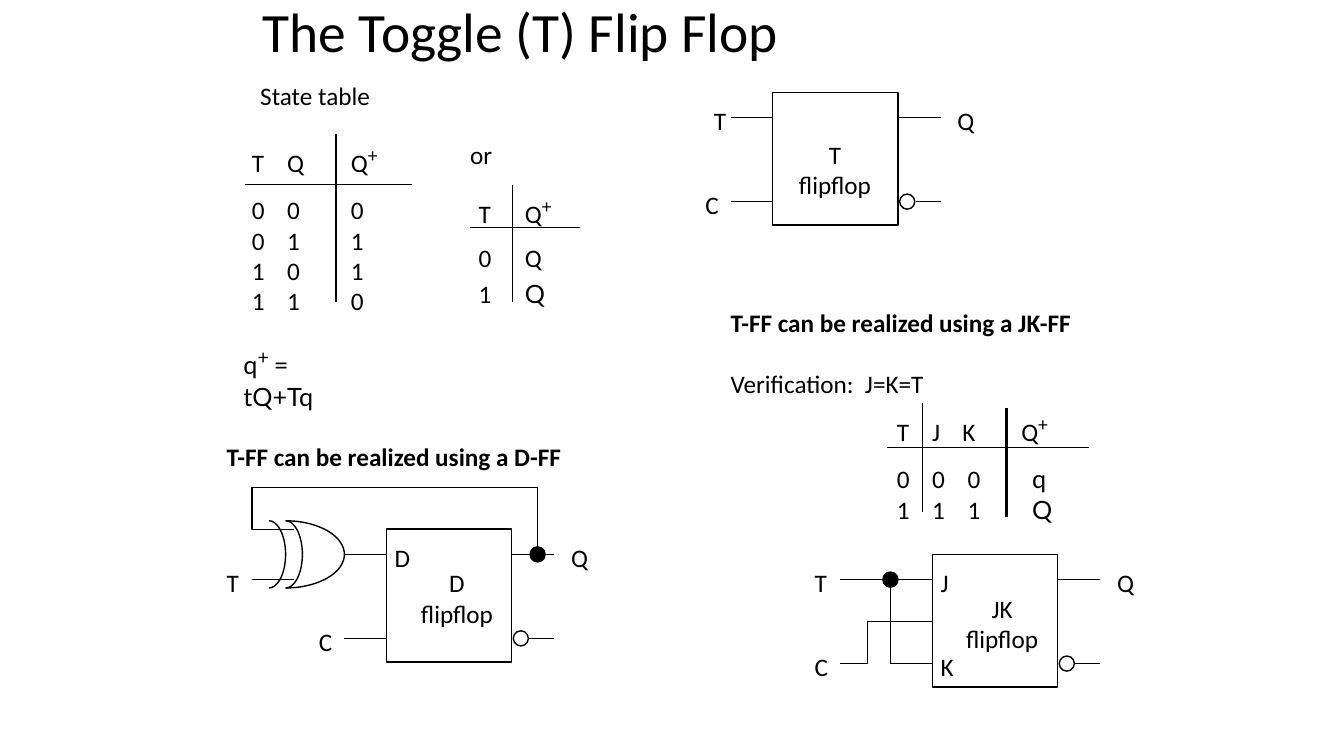
"""Build the slide that explains the toggle flip flop and two ways to realize it."""
import math
from dataclasses import dataclass, field
from typing import Any

import lxml.etree
import pptx
import pptx.dml.color
import pptx.enum.shapes
import pptx.enum.text
import pptx.oxml.ns
import pptx.util

SLIDE_WIDTH = pptx.util.Inches(13.33)
SLIDE_HEIGHT = pptx.util.Inches(7.5)
COLUMN = SLIDE_WIDTH / 160
ROW = SLIDE_HEIGHT / 90
INK = "000000"
BODY_WIDTH, BODY_HEIGHT = 14.9, 15.8
DOT = 1.8
LEFT = pptx.enum.text.PP_ALIGN.LEFT
CENTER = pptx.enum.text.PP_ALIGN.CENTER
Point = tuple[float, float]


@dataclass(frozen=True)
class Span:
    text: str
    format: dict[str, Any] = field(default_factory=dict)
    baseline: int = 0


@dataclass(frozen=True)
class Line:
    spans: tuple[Span, ...]
    format: dict[str, Any] = field(default_factory=dict)
    tabs: tuple[float, ...] = ()


@dataclass(frozen=True)
class Label:
    column: float
    row: float
    lines: tuple[Line, ...]
    width: float = 6
    height: float = 4.8


@dataclass(frozen=True)
class Wire:
    start: Point
    end: Point
    weight: float = 1


@dataclass(frozen=True)
class FlipFlop:
    name: str
    column: float
    row: float
    name_offset: Point
    upper_stub: float


@dataclass(frozen=True)
class Arc:
    column: float
    radius: float


def plain(text: str, **format_values: Any) -> Line:
    return Line((Span(text, format_values),))


def caption(column: float, row: float, text: str, width: float = 6, **format_values: Any) -> Label:
    return Label(column, row, (plain(text, **format_values),), width)


def color(value: str) -> pptx.dml.color.RGBColor:
    return pptx.dml.color.RGBColor.from_string(value)


def x(columns: float) -> int:
    return round(columns * COLUMN)


def y(rows: float) -> int:
    return round(rows * ROW)


def apply(target: Any, values: dict[str, Any]) -> None:
    for name, value in values.items():
        setattr(target, name, value)


def style_line(line: Any, weight: float = 1) -> None:
    line.color.rgb = color(INK)
    line.width = pptx.util.Pt(weight)


def draw_label(slide: Any, label: Label) -> None:
    box = slide.shapes.add_textbox(x(label.column), y(label.row), x(label.width), y(label.height))
    frame = box.text_frame
    frame.word_wrap = True
    for index, line in enumerate(label.lines):
        paragraph = frame.add_paragraph() if index else frame.paragraphs[0]
        apply(paragraph, {"alignment": LEFT, "line_spacing": 1.0} | line.format)
        if line.tabs:
            properties = paragraph._p.get_or_add_pPr()
            stops = lxml.etree.SubElement(properties, pptx.oxml.ns.qn("a:tabLst"))
            for stop in line.tabs:
                lxml.etree.SubElement(stops, pptx.oxml.ns.qn("a:tab"), pos=str(x(stop)), algn="l")
        for span in line.spans:
            run = paragraph.add_run()
            run.text = span.text
            apply(run.font, {"name": "Calibri", "size": pptx.util.Pt(18)} | span.format)
            run.font.color.rgb = color(INK)
            if span.baseline:
                run._r.get_or_add_rPr().set("baseline", str(span.baseline))


def draw_wire(slide: Any, wire: Wire) -> None:
    connector = slide.shapes.add_connector(
        pptx.enum.shapes.MSO_CONNECTOR.STRAIGHT,
        x(wire.start[0]), y(wire.start[1]), x(wire.end[0]), y(wire.end[1]))
    style_line(connector.line, wire.weight)
    lxml.etree.SubElement(connector._element.spPr, pptx.oxml.ns.qn("a:effectLst"))


def draw_outline(slide: Any, points: list[Point]) -> None:
    corners = [(x(column), y(row)) for column, row in points]
    builder = slide.shapes.build_freeform(*corners[0])
    builder.add_line_segments(corners[1:], close=False)
    shape = builder.convert_to_shape()
    shape.fill.background()
    style_line(shape.line)
    shape.shadow.inherit = False


def draw_arc(slide: Any, arc: Arc) -> None:
    angles = [math.radians(degrees) for degrees in range(-90, 91, 5)]
    draw_outline(slide, [(arc.column + arc.radius * math.cos(angle), 66 + 4 * math.sin(angle))
                         for angle in angles])


def draw_shape(slide: Any, kind: Any, column: float, row: float,
               width: float, height: float, fill: str = "") -> None:
    shape = slide.shapes.add_shape(kind, x(column), y(row), x(width), y(height))
    if fill:
        shape.fill.solid()
        shape.fill.fore_color.rgb = color(fill)
    else:
        shape.fill.background()
    style_line(shape.line)
    shape.shadow.inherit = False


def draw_dot(slide: Any, center: Point, fill: str = "") -> None:
    draw_shape(slide, pptx.enum.shapes.MSO_SHAPE.OVAL,
               center[0] - DOT / 2, center[1] - DOT / 2, DOT, DOT, fill)


def draw_flip_flop(slide: Any, block: FlipFlop) -> None:
    column, row = block.column, block.row
    draw_shape(slide, pptx.enum.shapes.MSO_SHAPE.RECTANGLE, column, row, BODY_WIDTH, BODY_HEIGHT)
    for start, end, offset in ((-block.upper_stub, 0, 3), (-5, 0, 13), (15, 20, 3), (17, 20, 13)):
        draw_wire(slide, Wire((column + start, row + offset), (column + end, row + offset)))
    draw_dot(slide, (column + 16, row + 13))
    lines = tuple(Line((Span(text),), {"alignment": CENTER}) for text in (block.name, "flipflop"))
    center, top = block.name_offset
    draw_label(slide, Label(column + center - 7, row + top, lines, 14, 8.4))
    draw_label(slide, caption(column + 20.8, row + 1, "Q"))


PLUS = Span("+", {"size": pptx.util.Pt(24)}, 30000)
LATO = {"name": "Lato"}
STATE_TABS, SHORT_TABS = (4.2, 11.8), (5.5,)
JK_HEAD_TABS, JK_TABS = (4.2, 7.8, 14.8), (4.2, 8.4, 16.1)
FLIP_FLOPS = (FlipFlop("T", 92, 11, (7.4, 5), 5), FlipFlop("JK", 111, 66, (8.3, 4), 11),
              FlipFlop("D", 46, 63, (8.4, 4), 5))
LABELS = (
    Label(30.1, 0, (Line((Span("The Toggle (T) Flip Flop", {"size": pptx.util.Pt(39.6)}),),
                         {"line_spacing": 0.9}),), 67, 8.3),
    caption(29.8, 9, "State table", 18),
    Label(28.8, 16, (
        Line((Span("T\tQ\tQ"), PLUS), tabs=STATE_TABS),
        Line((Span("0\t0\t0"),), {"line_spacing": 1.5}, STATE_TABS),
        *(Line((Span(text),), tabs=STATE_TABS) for text in ("0\t1\t1", "1\t0\t1", "1\t1\t0")),
    ), 20, 22.3),
    caption(54.8, 16, "or"),
    Label(55.8, 22, (
        Line((Span("T\tQ"), PLUS), tabs=SHORT_TABS),
        Line((Span("0\tQ"),), {"line_spacing": 1.4}, SHORT_TABS),
        Line((Span("1\t"), Span("Q", LATO)), {"line_spacing": 1.2}, SHORT_TABS),
    ), 14, 15.2),
    Label(27.8, 40, (Line((Span("q", LATO), Span("+ ", PLUS.format | LATO, 30000),
                           Span("= tQ+Tq", LATO))),), 15.6, 8),
    caption(25.8, 52, "T-FF can be realized using a D-FF", 46, bold=True),
    Label(85.8, 36, (
        plain("T-FF can be realized using a JK-FF", bold=True),
        Line((Span("Verification:  J=K=T"),), {"space_before": pptx.util.Pt(22)}),
    ), 46, 12.1),
    Label(105.6, 48, (
        Line((Span("T\tJ\tK\tQ"), PLUS), tabs=JK_HEAD_TABS),
        Line((Span("0\t0\t0\t"), Span("q", LATO)), {"line_spacing": 1.5}, JK_TABS),
        Line((Span("1\t1\t1\t"), Span("Q", LATO)), tabs=JK_TABS),
    ), 24, 15.1),
    caption(83.8, 12, "T"), caption(82.8, 22, "C"),
    caption(95.8, 67, "T"), caption(95.8, 77, "C"),
    caption(110.8, 67, "J"), caption(110.8, 77, "K"),
    caption(25.8, 67, "T"), caption(36.8, 74, "C"), caption(45.8, 64, "D"),
)
WIRES = (
    Wire((29.2, 22), (49.1, 22)), Wire((40, 16), (40, 36)),
    Wire((56, 27.1), (69, 27.1)), Wire((61, 22), (61, 36)),
    Wire((105.6, 53.3), (129.6, 53.3)), Wire((119.8, 48.6), (119.8, 61.6), 2),
    Wire((109.8, 48), (109.8, 61)), Wire((106, 69), (106, 79)), Wire((35, 69), (30, 69)),
)
PATHS = ([(111, 74), (103.3, 74), (103.3, 79), (100, 79)],
         [(35, 63), (30, 63), (30, 58), (64, 58), (64, 66)])
GATE_ARCS = (Arc(34, 7), Arc(34, 2), Arc(32, 2))
JUNCTIONS = ((106, 69), (64, 66))


def main() -> None:
    presentation = pptx.Presentation()
    apply(presentation, {"slide_width": SLIDE_WIDTH, "slide_height": SLIDE_HEIGHT})
    slide = presentation.slides.add_slide(presentation.slide_layouts[6])
    for draw, items in ((draw_label, LABELS), (draw_flip_flop, FLIP_FLOPS), (draw_wire, WIRES),
                        (draw_outline, PATHS), (draw_arc, GATE_ARCS)):
        for item in items:
            draw(slide, item)
    for center in JUNCTIONS:
        draw_dot(slide, center, INK)
    presentation.save("out.pptx")


if __name__ == "__main__":
    main()
